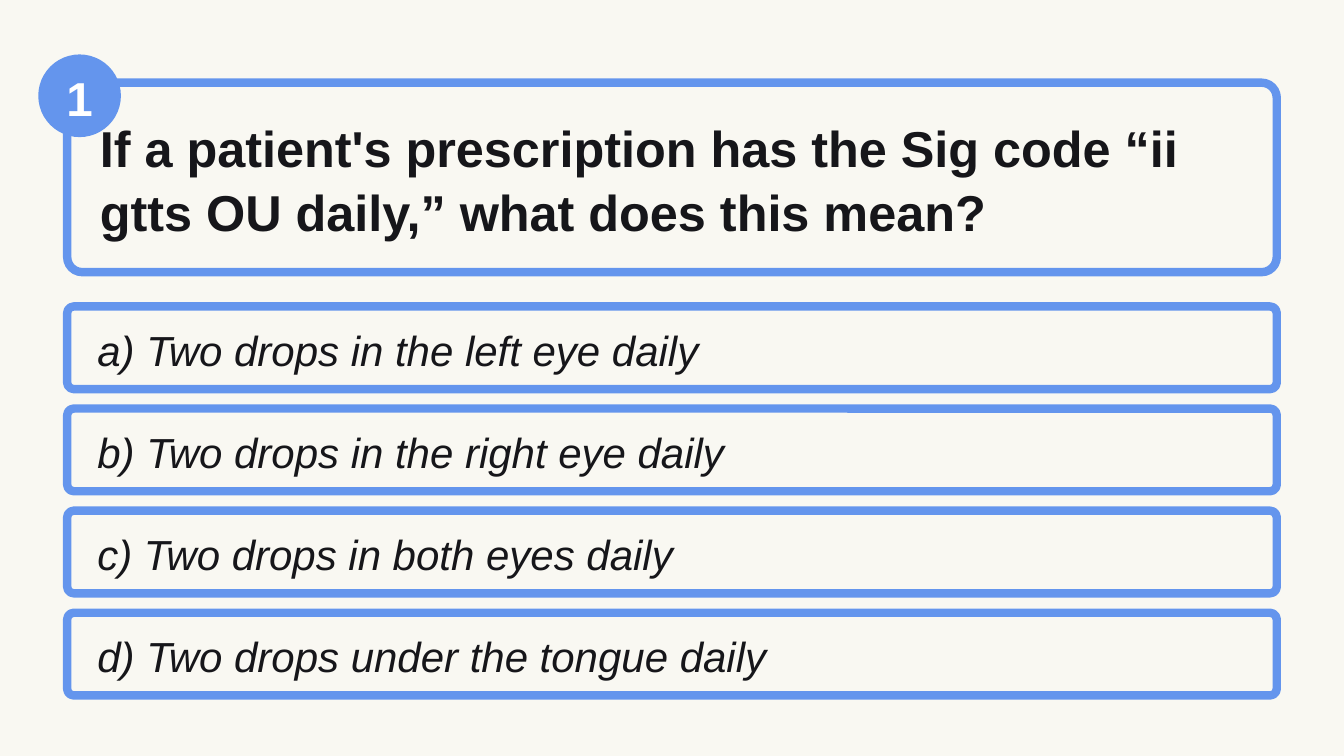
from dataclasses import dataclass

from pptx import Presentation
from pptx.dml.color import RGBColor
from pptx.enum.shapes import MSO_SHAPE
from pptx.enum.text import MSO_ANCHOR, PP_ALIGN
from pptx.slide import Slide
from pptx.util import Inches, Pt

COLORS = {"paper": "F9F8F2", "accent": "6495ED", "ink": "16161A", "white": "FFFFFF"}
FONT = "Arial"
COLUMN = Inches(13.33) / 40
ROW = Inches(7.5) / 75

BOX_LEFT, BOX_COLUMNS = 2, 36
ANSWER_TOP, ANSWER_ROWS, ANSWER_PITCH = 30.4, 8.2, 10.13

QUESTION = (
    "If a patient's prescription has the Sig code “ii gtts OU daily,” "
    "what does this mean?"
)
ANSWERS = [
    "a) Two drops in the left eye daily",
    "b) Two drops in the right eye daily",
    "c) Two drops in both eyes daily",
    "d) Two drops under the tongue daily",
]


@dataclass(frozen=True)
class Panel:
    """Left and width count columns; top and height count rows."""

    text: str
    top: float
    height: float
    size: int
    left: float = BOX_LEFT
    width: float = BOX_COLUMNS
    form: MSO_SHAPE = MSO_SHAPE.ROUNDED_RECTANGLE
    fill: str = "paper"
    color: str = "ink"
    bold: bool = False
    italic: bool = False
    align: PP_ALIGN = PP_ALIGN.LEFT
    side_inset: float = 0.28
    end_inset: float = 0.17


def rgb(name: str) -> RGBColor:
    return RGBColor.from_string(COLORS[name])


def draw_panel(slide: Slide, panel: Panel) -> None:
    shape = slide.shapes.add_shape(
        panel.form,
        round(panel.left * COLUMN),
        round(panel.top * ROW),
        round(panel.width * COLUMN),
        round(panel.height * ROW),
    )
    shape.shadow.inherit = False
    shape.fill.solid()
    shape.fill.fore_color.rgb = rgb(panel.fill)
    if panel.form == MSO_SHAPE.ROUNDED_RECTANGLE:
        shape.adjustments[0] = 0.08
        shape.line.color.rgb = rgb("accent")
        shape.line.width = Pt(6)
    else:
        shape.line.fill.background()

    frame = shape.text_frame
    frame.word_wrap = True
    frame.vertical_anchor = MSO_ANCHOR.MIDDLE
    frame.margin_left = frame.margin_right = Inches(panel.side_inset)
    frame.margin_top = frame.margin_bottom = Inches(panel.end_inset)
    paragraph = frame.paragraphs[0]
    paragraph.alignment = panel.align
    paragraph.line_spacing = 1.06
    run = paragraph.add_run()
    run.text = panel.text
    run.font.name = FONT
    run.font.size = Pt(panel.size)
    run.font.bold = panel.bold
    run.font.italic = panel.italic
    run.font.color.rgb = rgb(panel.color)


def main() -> None:
    presentation = Presentation()
    presentation.slide_width = Inches(13.33)
    presentation.slide_height = Inches(7.5)
    slide = presentation.slides.add_slide(presentation.slide_layouts[6])
    slide.background.fill.solid()
    slide.background.fill.fore_color.rgb = rgb("paper")

    question = Panel(QUESTION, 8.2, 18.8, 36, bold=True, end_inset=0.19)
    badge = Panel(
        "1", 5.4, 8.2, 34, left=1.14, width=2.46, form=MSO_SHAPE.OVAL,
        fill="accent", color="white", bold=True, align=PP_ALIGN.CENTER,
        side_inset=0.1, end_inset=0.05,
    )
    answers = [
        Panel(text, ANSWER_TOP + index * ANSWER_PITCH, ANSWER_ROWS, 30, italic=True)
        for index, text in enumerate(ANSWERS)
    ]
    for panel in [question, badge, *answers]:
        draw_panel(slide, panel)

    presentation.save("out.pptx")


if __name__ == "__main__":
    main()
